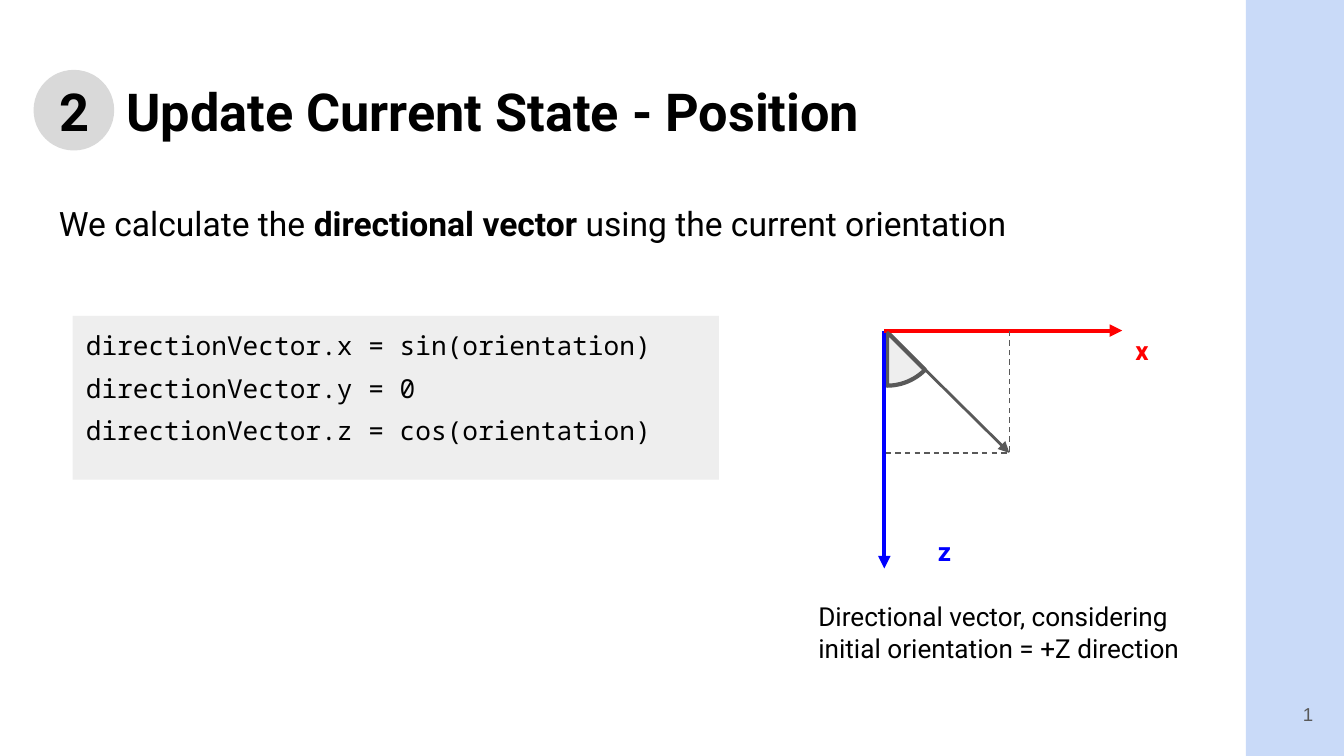
from dataclasses import dataclass
from typing import Optional

from lxml import etree
from pptx import Presentation
from pptx.dml.color import RGBColor
from pptx.enum.dml import MSO_LINE
from pptx.enum.shapes import MSO_CONNECTOR, MSO_SHAPE
from pptx.enum.text import MSO_ANCHOR, MSO_AUTO_SIZE, PP_ALIGN
from pptx.oxml.ns import qn
from pptx.util import Inches, Length, Pt

RECTANGLE, OVAL, PIE = MSO_SHAPE.RECTANGLE, MSO_SHAPE.OVAL, MSO_SHAPE.PIE
STRAIGHT, DASH = MSO_CONNECTOR.STRAIGHT, MSO_LINE.DASH
LEFT, RIGHT = PP_ALIGN.LEFT, PP_ALIGN.RIGHT
TOP, MIDDLE = MSO_ANCHOR.TOP, MSO_ANCHOR.MIDDLE

BLACK = RGBColor(0x00, 0x00, 0x00)
RED = RGBColor(0xFF, 0x00, 0x00)
BLUE = RGBColor(0x00, 0x00, 0xFF)
DARK_GRAY = RGBColor(0x59, 0x59, 0x59)
BADGE_GRAY = RGBColor(0xD9, 0xD9, 0xD9)
PANEL_GRAY = RGBColor(0xEE, 0xEE, 0xEE)
PALE_BLUE = RGBColor(0xC9, 0xDA, 0xF8)

COLUMNS, ROWS = 100, 56.25
CELL = Inches(0.1)
INSET = Inches(0.1)


@dataclass(frozen=True)
class Area:
    column: float
    row: float
    columns: float
    rows: float


@dataclass(frozen=True)
class Style:
    size: float
    color: RGBColor = BLACK
    bold: bool = False
    name: str = "Roboto"


@dataclass(frozen=True)
class Label:
    area: Area
    lines: tuple[str, ...]
    style: Style
    gap: float = 0


@dataclass(frozen=True)
class Stroke:
    start: tuple[float, float]
    end: tuple[float, float]
    color: RGBColor
    width: float
    dashed: bool = False


def cells(count: float) -> Length:
    return Length(round(count * CELL))


def bounds(area: Area) -> tuple[Length, ...]:
    return tuple(cells(n) for n in (area.column, area.row, area.columns, area.rows))


def format_paragraph(para, style: Style) -> None:
    para.font.name = style.name
    para.font.size = Pt(style.size)
    para.font.bold = style.bold
    para.font.color.rgb = style.color


def prepare_frame(frame, anchor=TOP) -> None:
    frame.word_wrap = True
    frame.auto_size = MSO_AUTO_SIZE.NONE
    frame.vertical_anchor = anchor
    frame.margin_left = frame.margin_right = INSET
    frame.margin_top = frame.margin_bottom = INSET


def add_box(shapes, area: Area, anchor=TOP):
    frame = shapes.add_textbox(*bounds(area)).text_frame
    prepare_frame(frame, anchor)
    return frame


def add_label(shapes, label: Label) -> None:
    frame = add_box(shapes, label.area)
    frame.text = "\n".join(label.lines)
    for index, para in enumerate(frame.paragraphs):
        format_paragraph(para, label.style)
        if index:
            para.space_before = Pt(label.gap)


def add_fill(shapes, kind, area: Area, color: RGBColor, outline: Optional[RGBColor] = None):
    shape = shapes.add_shape(kind, *bounds(area))
    shape.shadow.inherit = False
    shape.fill.solid()
    shape.fill.fore_color.rgb = color
    if outline is None:
        shape.line.fill.background()
    else:
        shape.line.color.rgb = outline
        shape.line.width = Pt(2.25)
    return shape


def add_stroke(shapes, stroke: Stroke) -> None:
    points = [cells(n) for n in (*stroke.start, *stroke.end)]
    connector = shapes.add_connector(STRAIGHT, *points)
    connector.line.color.rgb = stroke.color
    connector.line.width = Pt(stroke.width)
    properties = connector._element.spPr
    if stroke.dashed:
        connector.line.dash_style = DASH
    else:
        etree.SubElement(properties.find(qn("a:ln")), qn("a:tailEnd"), type="triangle")
    etree.SubElement(properties, qn("a:effectLst"))


def add_title(page) -> None:
    title = page.shapes.title
    page.shapes._spTree.append(title._element)
    title.left, title.top, title.width, title.height = bounds(Area(3.4, 4.9, 93.2, 6.3))
    prepare_frame(title.text_frame)
    title.text_frame.text = "2\tUpdate Current State - Position"
    para = title.text_frame.paragraphs[0]
    para.alignment = LEFT
    format_paragraph(para, Style(28, bold=True))


def add_statement(page) -> None:
    para = add_box(page.shapes, Area(3.4, 12.6, 89.2, 10.8)).paragraphs[0]
    para.line_spacing = 1.5
    para.space_after = Pt(16)
    format_paragraph(para, Style(18))
    for text, bold in (
        ("We calculate the ", False),
        ("directional vector", True),
        (" using the current orientation", False),
    ):
        span = para.add_run()
        span.text = text
        span.font.bold = bold


def add_page_number(page) -> None:
    para = add_box(page.shapes, Area(92.7, 51, 6, 4.3), MIDDLE).paragraphs[0]
    para.alignment = RIGHT
    format_paragraph(para, Style(10, DARK_GRAY, name="Arial"))
    field = etree.SubElement(
        para._p, qn("a:fld"), id="{B6F15528-21DE-4FAA-801E-634DDDAF4B2B}", type="slidenum"
    )
    etree.SubElement(field, qn("a:rPr"), lang="en")
    etree.SubElement(field, qn("a:t")).text = "9"


ORIGIN = (65.8, 24.6)
TIP = (75.1, 33.7)
AXIS = 17.7
RADIUS = 4
STROKES = (
    Stroke(ORIGIN, (ORIGIN[0], ORIGIN[1] + AXIS), BLUE, 2.25),
    Stroke(ORIGIN, (ORIGIN[0] + AXIS, ORIGIN[1]), RED, 2.25),
    Stroke((66, 24.7), TIP, DARK_GRAY, 1.5),
    Stroke((65.9, TIP[1]), (75.2, TIP[1]), DARK_GRAY, 0.75, True),
    Stroke((TIP[0], 33.6), (TIP[0], ORIGIN[1]), DARK_GRAY, 0.75, True),
)
CODE = Label(
    Area(5.4, 23.5, 61.9, 11.2),
    (
        "directionVector.x = sin(orientation)",
        "directionVector.y = 0",
        "directionVector.z = cos(orientation)",
    ),
    Style(14, name="Noto Sans Mono"),
    gap=6,
)
LABELS = (
    CODE,
    Label(Area(68.8, 38.8, 3.2, 3.5), ("z",), Style(14, BLUE, True)),
    Label(Area(83.5, 23.9, 3.2, 3.3), ("x",), Style(14, RED, True)),
    Label(
        Area(59.9, 43.7, 30, 7.3),
        ("Directional vector, considering initial orientation = +Z direction",),
        Style(14),
    ),
)


def add_diagram(page) -> None:
    diagram = page.shapes.add_group_shape().shapes
    sector = Area(66 - RADIUS, 24.7 - RADIUS, 2 * RADIUS, 2 * RADIUS)
    angle = add_fill(diagram, PIE, sector, PANEL_GRAY, DARK_GRAY)
    angle.adjustments[0], angle.adjustments[1] = 27, 54
    for stroke in STROKES:
        add_stroke(diagram, stroke)


deck = Presentation()
deck.slide_width, deck.slide_height = cells(COLUMNS), cells(ROWS)
page = deck.slides.add_slide(deck.slide_layouts[5])
add_fill(page.shapes, RECTANGLE, Area(92.7, 0, 7.3, ROWS), PALE_BLUE)
add_fill(page.shapes, OVAL, Area(2.5, 5.2, 6, 6), BADGE_GRAY)
add_title(page)
add_statement(page)
add_page_number(page)
add_diagram(page)
add_fill(page.shapes, RECTANGLE, Area(5.4, 23.5, 48.1, 12.2), PANEL_GRAY)
for label in LABELS:
    add_label(page.shapes, label)
deck.save("out.pptx")
